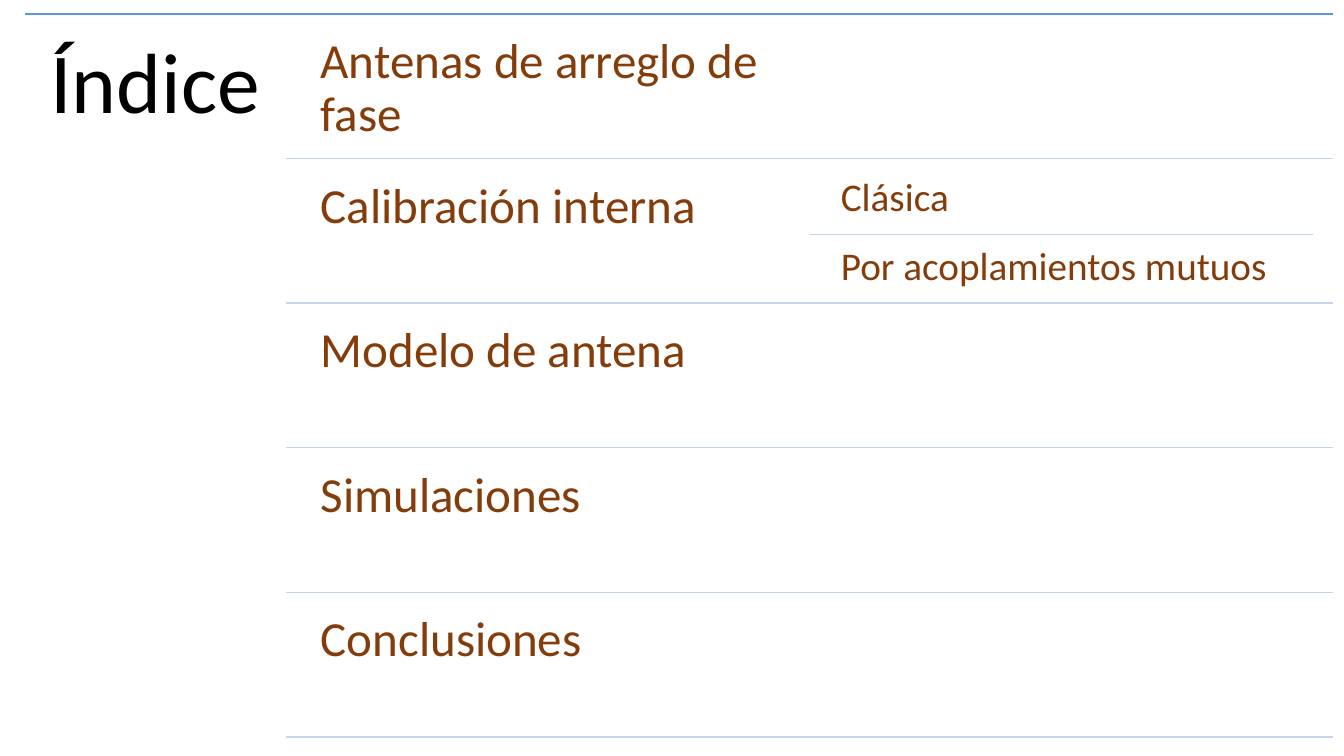
from pptx import Presentation
from pptx.dml.color import RGBColor
from pptx.enum.shapes import MSO_CONNECTOR
from pptx.enum.text import MSO_ANCHOR, MSO_AUTO_SIZE, PP_ALIGN
from pptx.oxml.ns import qn
from pptx.util import Inches, Pt
from lxml import etree

STRAIGHT = MSO_CONNECTOR.STRAIGHT
TOP = MSO_ANCHOR.TOP
LEFT = PP_ALIGN.LEFT
NO_AUTOFIT = MSO_AUTO_SIZE.NONE

TITLE = "Índice"
SECTIONS = [
    ("Antenas de arreglo de fase", []),
    ("Calibración interna", ["Clásica", "Por acoplamientos mutuos"]),
    ("Modelo de antena", []),
    ("Simulaciones", []),
    ("Conclusiones", []),
]
COLORS = {"title": "000000", "text": "843C0B", "top_rule": "5B9BD5", "rule": "C4D5EB"}
FONT = "Calibri"

INDEX_LEFT, INDEX_RIGHT = 0.25, 13.22
INDEX_TOP, INDEX_BOTTOM = 0.14, 7.31
RULE_LEFT, SECTION_LEFT = 2.84, 3.03
SUBRULE_LEFT, SUBRULE_RIGHT, TOPIC_LEFT = 8.03, 13.02, 8.22
TEXT_WIDTH, ROW_GAP = 4.99, 0.07
ROW_PITCH = (INDEX_BOTTOM - INDEX_TOP) / len(SECTIONS)
ROW_HEIGHT = ROW_PITCH - ROW_GAP


def write_text(shape, text, size, color, inset):
    frame = shape.text_frame
    frame.word_wrap = True
    frame.auto_size = NO_AUTOFIT
    frame.vertical_anchor = TOP
    frame.margin_left = frame.margin_right = Inches(inset)
    frame.margin_top = frame.margin_bottom = Inches(inset)
    paragraph = frame.paragraphs[0]
    paragraph.alignment = LEFT
    paragraph.line_spacing = 0.9
    paragraph.space_before = Pt(0)
    run = paragraph.add_run()
    run.text = text
    run.font.name = FONT
    run.font.size = Pt(size)
    run.font.color.rgb = RGBColor.from_string(COLORS[color])


def add_entry(slide, text, left, top, height, size, inset):
    box = slide.shapes.add_textbox(
        Inches(left), Inches(top), Inches(TEXT_WIDTH), Inches(height))
    write_text(box, text, size, "text", inset)


def add_rule(slide, left, right, y, color):
    rule = slide.shapes.add_connector(
        STRAIGHT, Inches(left), Inches(y), Inches(right), Inches(y))
    rule.line.color.rgb = RGBColor.from_string(COLORS[color])
    rule.line.width = Pt(1)
    etree.SubElement(rule._element.spPr, qn("a:effectLst"))


def main():
    presentation = Presentation()
    presentation.slide_width = Inches(13.33)
    presentation.slide_height = Inches(7.5)
    slide = presentation.slides.add_slide(presentation.slide_layouts[5])

    title = slide.shapes.title
    title.left, title.top = Inches(INDEX_LEFT), Inches(INDEX_TOP)
    title.width, title.height = Inches(2.59), Inches(7.25)
    write_text(title, TITLE, 61, "title", 0.25)
    add_rule(slide, INDEX_LEFT, INDEX_RIGHT, INDEX_TOP, "top_rule")

    for row, (section, topics) in enumerate(SECTIONS):
        row_top = INDEX_TOP + row * ROW_PITCH + ROW_GAP
        add_entry(slide, section, SECTION_LEFT, row_top, ROW_HEIGHT, 35, 0.15)
        for position, topic in enumerate(topics):
            topic_height = ROW_HEIGHT / len(topics)
            topic_top = row_top + position * topic_height
            if position:
                add_rule(slide, SUBRULE_LEFT, SUBRULE_RIGHT, topic_top, "rule")
            add_entry(slide, topic, TOPIC_LEFT, topic_top, topic_height, 28, 0.12)
        add_rule(slide, RULE_LEFT, INDEX_RIGHT, row_top + ROW_HEIGHT, "rule")

    presentation.save("out.pptx")


if __name__ == "__main__":
    main()
